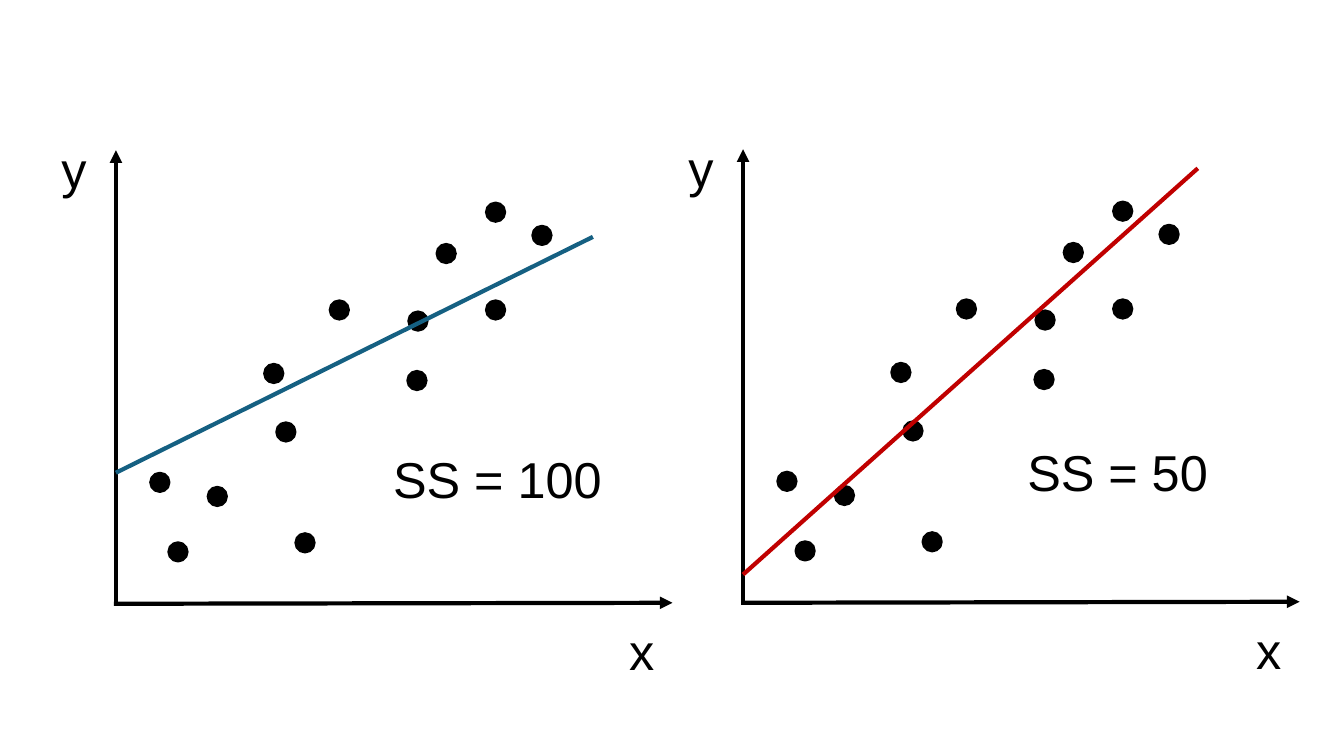
from dataclasses import dataclass
from typing import NamedTuple

from lxml import etree
from pptx import Presentation
from pptx import util as u
from pptx.dml.color import RGBColor
from pptx.enum import shapes, text
from pptx.oxml import ns
from pptx.shapes.connector import Connector
from pptx.shapes.shapetree import GroupShapes

PX = 9144  # EMU per px, at 100 px to the inch
BLACK = "000000"
FONT = "Arial"
TEXT_SIZE = u.Pt(36)
LINE_WIDTH = u.Pt(3)
LABEL_HEIGHT = 71
AXIS_LABEL_WIDTH = 52
SCORE_WIDTH = 332
DOT_SIZE = 19


class Point(NamedTuple):
    x: int
    y: int

    def plus(self, offset: "Point") -> "Point":
        return Point(self.x + offset.x, self.y + offset.y)


@dataclass(frozen=True)
class Panel:
    """One scatter plot; all points but the origin are relative to the origin."""
    origin: Point
    fit_start: Point
    fit_end: Point
    fit_color: str
    score: str
    score_at: Point


# Top left corners of the dots, relative to the origin of a panel
DOTS = [Point(*pair) for pair in (
    (91, -115), (34, -129), (52, -60), (159, -179), (212, -300),
    (367, -300), (367, -397), (413, -374), (318, -356), (290, -289),
    (289, -230), (147, -237), (178, -69),
)]

PANELS = [
    Panel(Point(115, 598), Point(0, -129), Point(473, -363), "156082",
          "SS = 100", Point(265, -158)),
    Panel(Point(737, 597), Point(0, -27), Point(451, -430), "C00000",
          "SS = 50", Point(272, -164)),
]


def px(length: int) -> u.Emu:
    return u.Emu(length * PX)


def rgb(color: str) -> RGBColor:
    return RGBColor.from_string(color)


def add_line(group: GroupShapes, start: Point, end: Point, color: str) -> Connector:
    line = group.add_connector(
        shapes.MSO_CONNECTOR.STRAIGHT, px(start.x), px(start.y), px(end.x), px(end.y))
    line.line.color.rgb = rgb(color)
    line.line.width = LINE_WIDTH
    etree.SubElement(line._element.spPr, ns.qn("a:effectLst"))
    return line


def add_axis(group: GroupShapes, start: Point, end: Point) -> None:
    axis = add_line(group, start, end, BLACK)
    outline = axis._element.spPr.find(ns.qn("a:ln"))
    etree.SubElement(outline, ns.qn("a:tailEnd"), type="triangle")


def add_label(group: GroupShapes, at: Point, width: int, words: str) -> None:
    box = group.add_textbox(px(at.x), px(at.y), px(width), px(LABEL_HEIGHT))
    frame = box.text_frame
    frame.word_wrap = True
    frame.auto_size = text.MSO_AUTO_SIZE.SHAPE_TO_FIT_TEXT
    span = frame.paragraphs[0].add_run()
    span.text = words
    span.font.name = FONT
    span.font.size = TEXT_SIZE
    span.font.color.rgb = rgb(BLACK)


def add_dot(group: GroupShapes, at: Point) -> None:
    dot = group.add_shape(
        shapes.MSO_SHAPE.OVAL, px(at.x), px(at.y), px(DOT_SIZE), px(DOT_SIZE))
    dot.shadow.inherit = False
    dot.fill.solid()
    dot.fill.fore_color.rgb = rgb(BLACK)
    dot.line.color.rgb = rgb(BLACK)
    dot.line.width = u.Pt(1.5)


def add_panel(group: GroupShapes, panel: Panel) -> None:
    origin = panel.origin
    add_axis(group, origin, origin.plus(Point(0, -449)))
    add_axis(group, origin.plus(Point(-2, 1)), origin.plus(Point(552, 0)))
    add_label(group, origin.plus(Point(499, 12)), AXIS_LABEL_WIDTH, "x")
    add_label(group, origin.plus(Point(-64, -466)), AXIS_LABEL_WIDTH, "y")
    for dot in DOTS:
        add_dot(group, origin.plus(dot))
    add_line(group, origin.plus(panel.fit_start), origin.plus(panel.fit_end),
             panel.fit_color)
    add_label(group, origin.plus(panel.score_at), SCORE_WIDTH, panel.score)


def main() -> None:
    deck = Presentation()
    deck.slide_width, deck.slide_height = px(1333), px(750)
    blank_layout = deck.slide_layouts[6]
    page = deck.slides.add_slide(blank_layout)
    for panel in PANELS:
        add_panel(page.shapes.add_group_shape().shapes, panel)
    deck.save("out.pptx")


if __name__ == "__main__":
    main()
